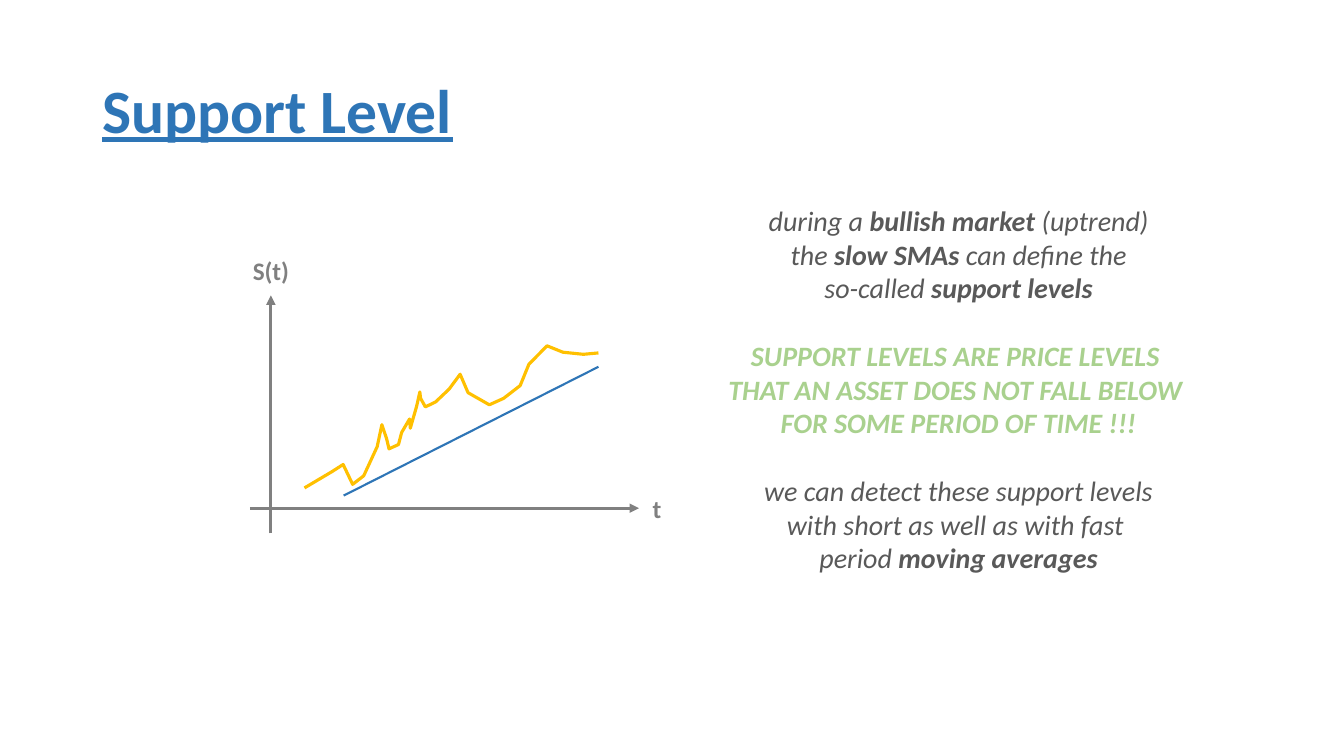
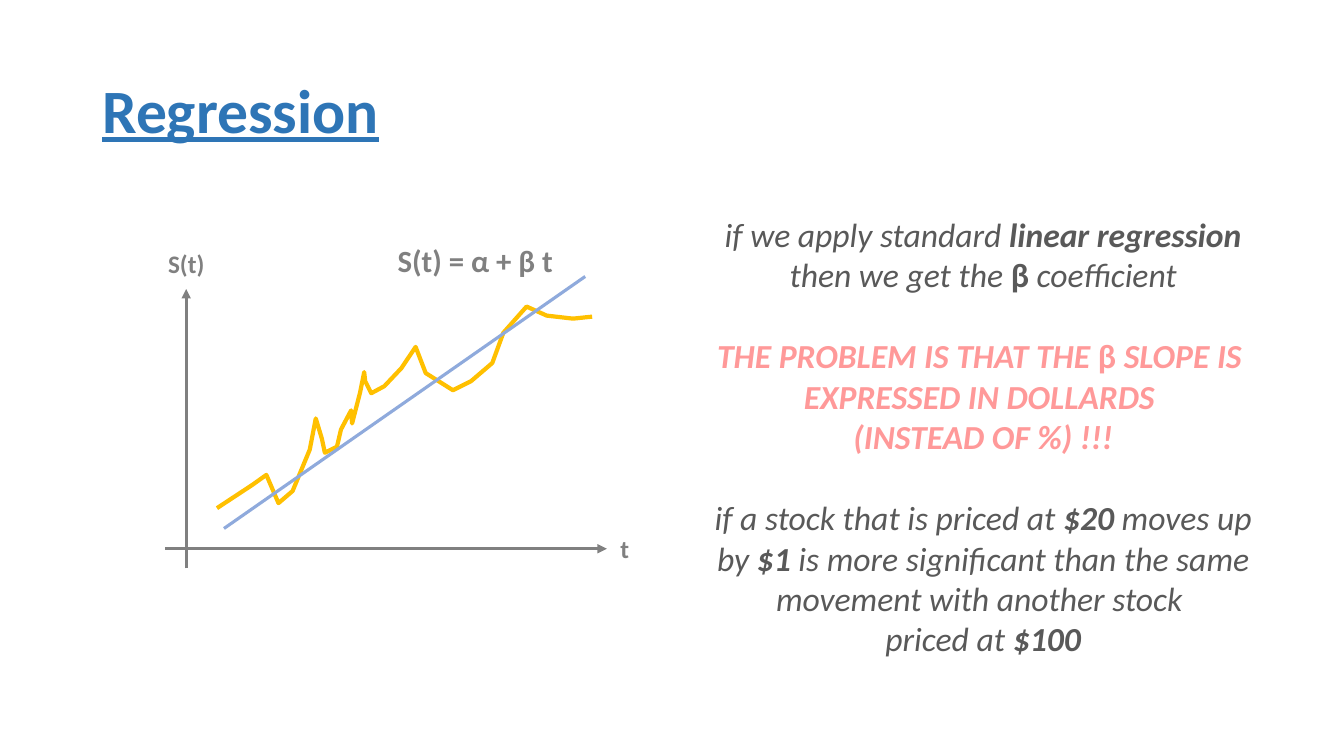
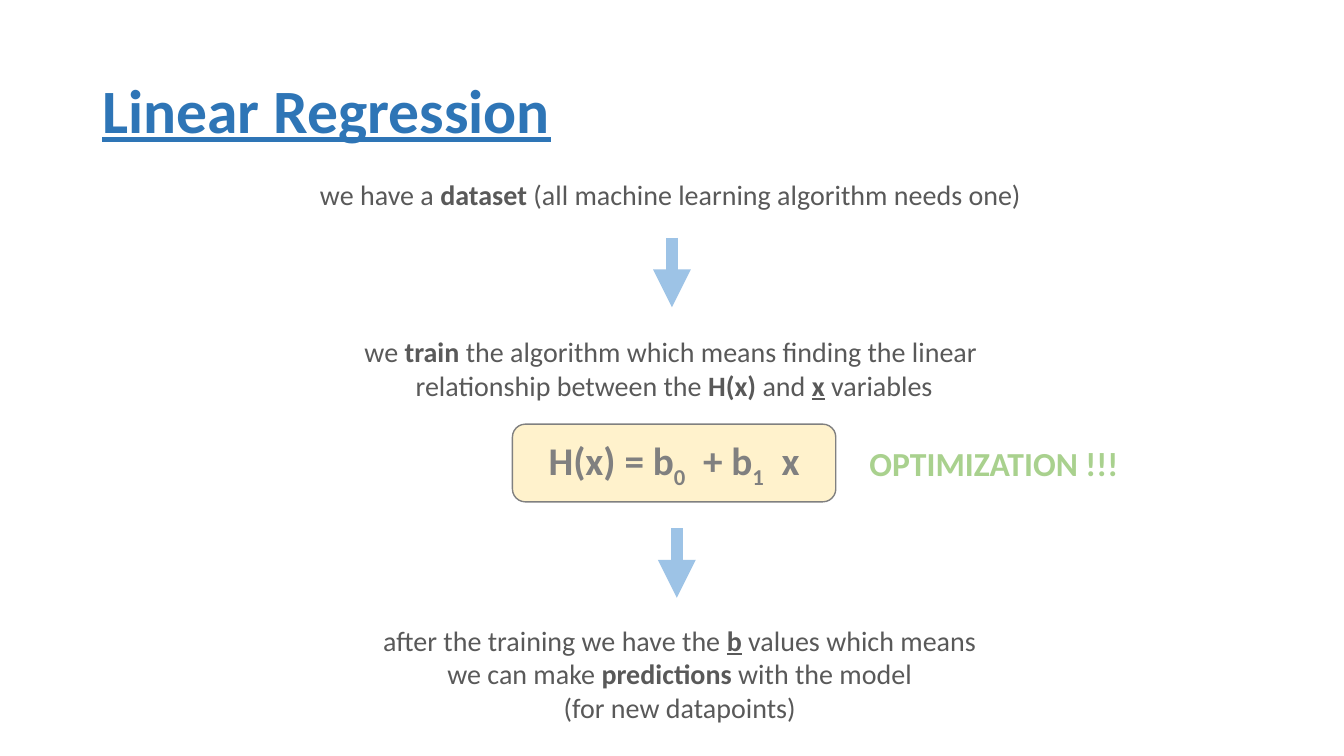
import pptx
import pptx.dml.color
import pptx.enum.shapes
import pptx.enum.text
import pptx.oxml.ns
import pptx.util
from lxml import etree

Pt = pptx.util.Pt
qn = pptx.oxml.ns.qn
ALIGN = pptx.enum.text.PP_ALIGN
MIDDLE = pptx.enum.text.MSO_ANCHOR.MIDDLE

FONT = "Calibri"
LINE_HEIGHT = 1.22
COLOURS = {
    "title": "2E75B6",
    "body": "595959",
    "axis": "808080",
    "price": "FFC000",
    "support": "2E75B6",
    "regression": "8FAADC",
    "good": "A9D18E",
    "bad": "FF9999",
    "arrow": "9DC3E6",
    "panel": "FFF2CC",
}
PRICE_SPAN = (372, 200)
PRICE_POINTS = [
    (0, 200), (35, 177), (49, 167), (61, 195), (75, 183), (92, 142),
    (98, 111), (104, 131), (107, 145), (119, 139), (123, 122), (133, 103),
    (134, 116), (142, 85), (146, 65), (147, 74), (153, 86), (166, 79),
    (183, 61), (197, 40), (207, 66), (234, 83), (252, 74), (273, 56),
    (284, 26), (307, 0), (327, 9), (353, 12), (372, 10),
]


def colour(name):
    return pptx.dml.color.RGBColor.from_string(COLOURS[name])


def add_span(para, text, style, size, colour_name):
    """Style letters: b bold, i italic, u underlined, s subscript."""
    span = para.add_run()
    span.text = text
    span.font.name = FONT
    span.font.size = Pt(size)
    span.font.bold = "b" in style
    span.font.italic = "i" in style
    span.font.underline = "u" in style
    span.font.color.rgb = colour(colour_name)
    if "s" in style:
        properties = span.font._element
        properties.set("baseline", "-25000")
        properties.set("spc", "630")


def write_groups(frame, groups, size, align):
    """Write (colour, style, lines) groups, one line height apart.

    A line is a list of spans: plain text in the group's style, or (text, style).
    """
    para = None
    for colour_name, style, lines in groups:
        for number, spans in enumerate(lines):
            starts_group = para is not None and number == 0
            para = frame.add_paragraph() if para is not None else frame.paragraphs[0]
            para.alignment = align
            if starts_group:
                para.space_before = Pt(size * LINE_HEIGHT)
            for span in spans:
                text, span_style = (span, style) if isinstance(span, str) else span
                add_span(para, text, span_style, size, colour_name)


def add_text(page, box, groups, size, align=ALIGN.LEFT):
    frame = page.shapes.add_textbox(*map(Pt, box)).text_frame
    frame.word_wrap = False
    write_groups(frame, groups, size, align)
    return frame


def add_line(page, start, end, colour_name, width, arrow=False):
    line = page.shapes.add_connector(
        pptx.enum.shapes.MSO_CONNECTOR.STRAIGHT, *map(Pt, (*start, *end)))
    line.line.color.rgb = colour(colour_name)
    line.line.width = Pt(width)
    properties = line._element.spPr
    if arrow:
        etree.SubElement(properties.find(qn("a:ln")), qn("a:tailEnd"), type="triangle")
    etree.SubElement(properties, qn("a:effectLst"))


def add_page(deck, title):
    page = deck.slides.add_slide(deck.slide_layouts[6])
    frame = add_text(page, (66, 29, 828, 104), [("title", "bu", [[title]])], 44)
    frame.word_wrap = True
    frame.auto_size = pptx.enum.text.MSO_AUTO_SIZE.NONE
    frame.vertical_anchor = MIDDLE
    frame.paragraphs[0].line_spacing = 0.9
    return page


def add_axes(page, box, tail):
    """Axes filling the box; tail is how far the upright one runs below the other."""
    left, top, width, height = box
    across, base = left + 15, top + height - tail
    add_line(page, (across, top + height), (across, top), "axis", 2.25, True)
    add_line(page, (left, base), (left + width, base), "axis", 2.25, True)
    add_text(page, (left - 5, top - 32.5, 41, 29), [("axis", "b", [["S(t)"]])], 18)
    add_text(page, (left + width + 2.5, base - 14.5, 21, 29), [("axis", "b", [["t"]])], 18)


def add_price_curve(page, box, line_width):
    left, top, width, height = box
    scale = (Pt(width) / PRICE_SPAN[0], Pt(height) / PRICE_SPAN[1])
    builder = page.shapes.build_freeform(*PRICE_POINTS[0], scale=scale)
    builder.add_line_segments(PRICE_POINTS[1:], close=False)
    curve = builder.convert_to_shape(Pt(left), Pt(top))
    curve.shadow.inherit = False
    curve.fill.background()
    curve.line.color.rgb = colour("price")
    curve.line.width = Pt(line_width)


def add_support_chart(page, box):
    left, top = box[:2]
    add_axes(page, box, 18)
    add_price_curve(page, (left + 39, top + 36, 210, 101.5), 2.25)
    add_line(page, (left + 67, top + 143), (left + 249, top + 51), "support", 1.5)


def add_regression_chart(page, box):
    left, top = box[:2]
    add_axes(page, box, 14)
    add_price_curve(page, (left + 37, top + 12.5, 268, 144), 3)
    add_line(page, (left + 42, top + 171), (left + 300, top - 9), "regression", 2.25)
    add_text(page, (left + 158, top - 37.5, 127, 34),
             [("axis", "b", [["S(t) = α + β t"]])], 22, ALIGN.CENTER)


def add_model_box(page, box):
    panel = page.shapes.add_shape(
        pptx.enum.shapes.MSO_SHAPE.ROUNDED_RECTANGLE, *map(Pt, box))
    panel.shadow.inherit = False
    panel.fill.solid()
    panel.fill.fore_color.rgb = colour("panel")
    panel.line.color.rgb = colour("axis")
    panel.line.width = Pt(1)
    panel.text_frame.word_wrap = False
    panel.text_frame.vertical_anchor = MIDDLE
    model = ["H(x) = b", ("0", "bs"), " + b", ("1", "bs"), " x"]
    write_groups(panel.text_frame, [("axis", "b", [model])], 28, ALIGN.CENTER)


def add_training_flow(page, left, top):
    add_text(page, (left, top, 520, 32), [("body", "", [
        ["we have a ", ("dataset", "b"), " (all machine learning algorithm needs one)"],
    ])], 20)
    add_text(page, (left + 29.5, top + 112.5, 461, 55.5), [("body", "", [
        ["we ", ("train", "b"), " the algorithm which means finding the linear "],
        ["relationship between the ", ("H(x)", "b"), " and ", ("x", "bu"), " variables"],
    ])], 20, ALIGN.CENTER)
    add_model_box(page, (left + 144.5, top + 180, 231, 55.5))
    add_text(page, (left + 392.5, top + 189.5, 194.5, 36),
             [("good", "b", [["OPTIMIZATION !!!"]])], 24)
    add_text(page, (left + 42.5, top + 318.5, 443, 80), [("body", "", [
        ["after the training we have the ", ("b", "bu"), " values which means"],
        ["we can make ", ("predictions", "b"), " with the model"],
        ["(for new datapoints)"],
    ])], 20, ALIGN.CENTER)
    for across, down in ((258.5, 47), (262, 254.5)):
        start = (left + across, top + down)
        add_line(page, start, (start[0], start[1] + 49.5), "arrow", 9, True)


def main():
    deck = pptx.Presentation()
    deck.slide_width, deck.slide_height = Pt(960), Pt(540)

    page = add_page(deck, "Support Level")
    add_support_chart(page, (178.5, 211, 278, 170))
    add_text(page, (512, 142, 345.5, 273.5), [
        ("body", "i", [
            ["during a ", ("bullish market ", "bi"), "(uptrend)"],
            ["the ", ("slow SMAs", "bi"), " can define the"],
            ["so-called ", ("support levels", "bi")],
        ]),
        ("good", "bi", [
            ["SUPPORT LEVELS ARE PRICE LEVELS "],
            ["THAT AN ASSET DOES NOT FALL BELOW "],
            ["FOR SOME PERIOD OF TIME !!!"],
        ]),
        ("body", "i", [
            ["we can detect these support levels"],
            ["with short as well as with fast "],
            ["period ", ("moving averages", "bi")],
        ]),
    ], 20, ALIGN.CENTER)

    page = add_page(deck, "Regression")
    add_regression_chart(page, (118, 206.5, 315.5, 199.5))
    add_text(page, (501, 149, 402.5, 385), [
        ("body", "i", [
            ["if we apply standard ", ("linear regression", "bi")],
            ["then we get the ", ("β ", "b"), "coefficient"],
        ]),
        ("bad", "bi", [
            ["THE PROBLEM IS THAT THE ", ("β ", "b"), "SLOPE IS "],
            ["EXPRESSED IN DOLLARDS "],
            ["(INSTEAD OF %) !!!"],
        ]),
        ("body", "i", [
            ["if a stock that is priced at ", ("$20", "bi"), " moves up"],
            ["by ", ("$1", "bi"), " is more significant than the same"],
            ["movement with another stock "],
            ["priced at ", ("$100", "bi")],
        ]),
    ], 24, ALIGN.CENTER)

    page = add_page(deck, "Linear Regression")
    add_training_flow(page, 221.5, 123)

    deck.save("out.pptx")


if __name__ == "__main__":
    main()
